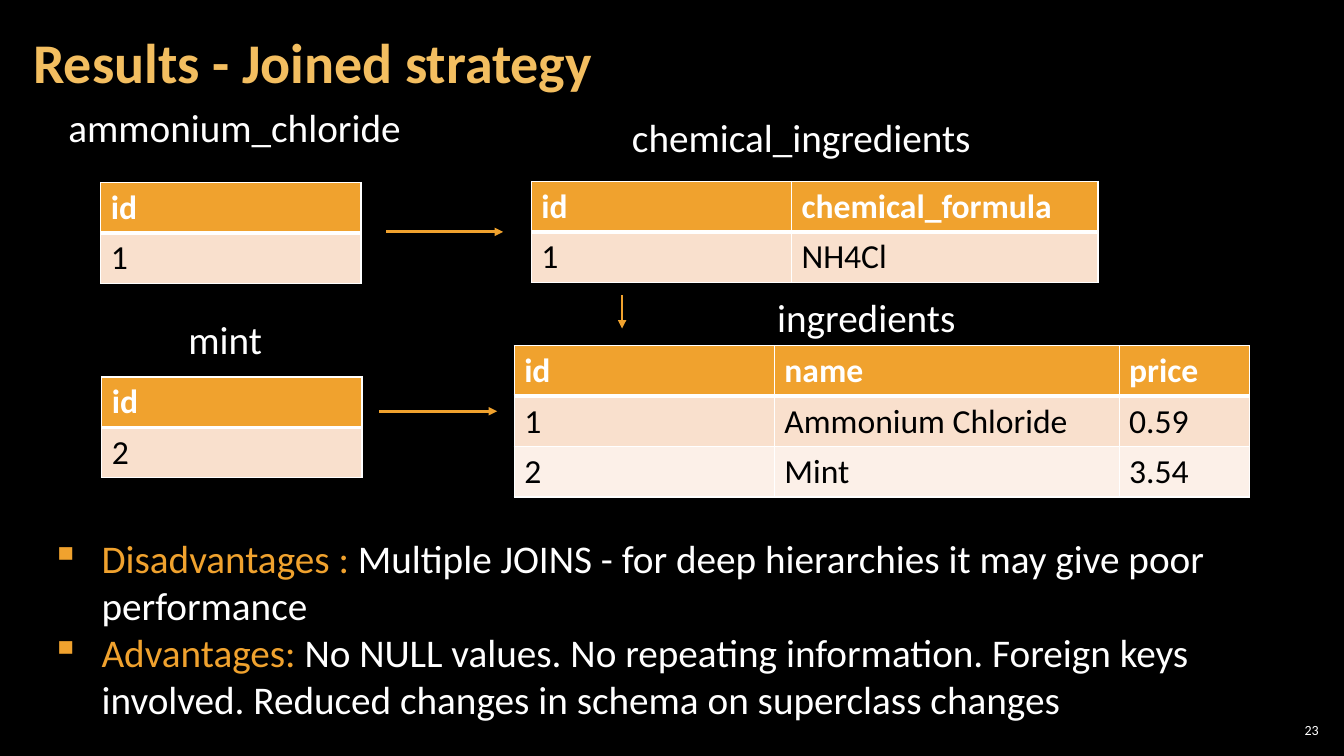
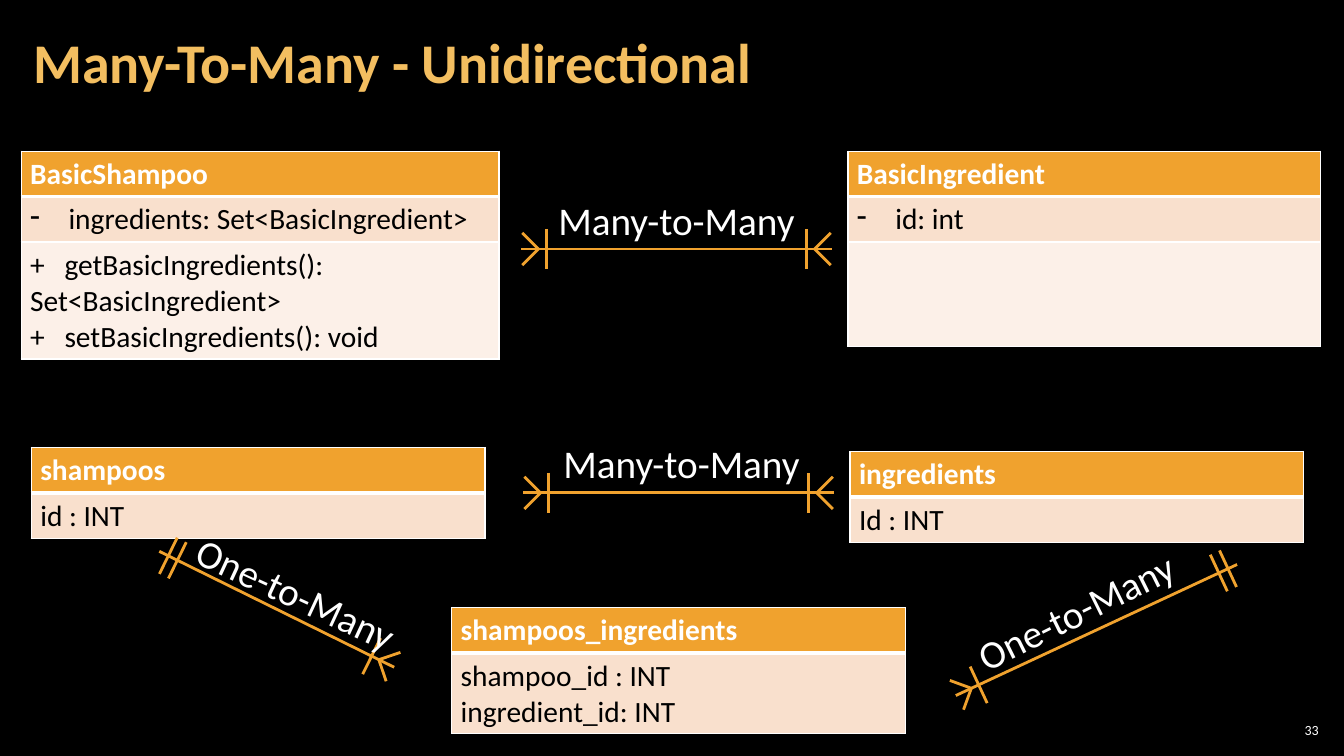
from math import hypot

from pptx import Presentation
from pptx.dml.color import RGBColor
from pptx.enum.shapes import MSO_CONNECTOR as CONNECTOR
from pptx.enum.text import MSO_ANCHOR as ANCHOR, PP_ALIGN as ALIGN
from pptx.oxml.ns import qn
from pptx.util import Inches, Pt
from lxml.etree import SubElement

COLORS = {
    "back": "000000",
    "title": "F3BE60",
    "accent": "F0A22E",
    "row": "F9E0CD",
    "row_alt": "FCF0E8",
    "light": "FFFFFF",
    "dark": "000000",
}
FONT = "Calibri"
LABEL_SIZE = 28


def rgb(name):
    return RGBColor.from_string(COLORS[name])


def style(r, size, color, bold=False):
    r.font.name = FONT
    r.font.size = Pt(size)
    r.font.bold = bold
    r.font.color.rgb = rgb(color)


def set_bullet(p, char, indent):
    """Give the paragraph a bullet with a hanging indent in inches."""
    pPr = p._p.get_or_add_pPr()
    pPr.set("marL", str(Inches(indent)))
    pPr.set("indent", str(-Inches(indent)))
    SubElement(pPr, qn("a:buChar")).set("char", char)


def set_tab(p, pos):
    tabs = SubElement(p._p.get_or_add_pPr(), qn("a:tabLst"))
    tab = SubElement(tabs, qn("a:tab"))
    tab.set("pos", str(Inches(pos)))
    tab.set("algn", "l")


def add_box(s, x, y, w, h):
    sp = s.shapes.add_textbox(Inches(x), Inches(y), Inches(w), Inches(h))
    sp.text_frame.word_wrap = True
    return sp


def add_text(s, text, x, y, w, h, size=LABEL_SIZE, color="light", bold=False):
    sp = add_box(s, x, y, w, h)
    p = sp.text_frame.paragraphs[0]
    p.text = text
    style(p.runs[0], size, color, bold)
    return sp


def add_label(s, text, x, y, w, rotation=0):
    sp = add_text(s, text, x, y, w, 0.57)
    sp.text_frame.word_wrap = False
    sp.rotation = rotation


def set_insets(tf, side, edge):
    tf.margin_left = tf.margin_right = Inches(side)
    tf.margin_top = tf.margin_bottom = Inches(edge)
    tf.vertical_anchor = ANCHOR.MIDDLE


def new_slide(prs, title, number):
    """Add a slide with the shared background, title and page number."""
    s = prs.slides.add_slide(prs.slide_layouts[6])
    s.background.fill.solid()
    s.background.fill.fore_color.rgb = rgb("back")

    tf = add_text(s, title, 0.21, 0.04, 10.47, 1.21, 40, "title", True).text_frame
    set_insets(tf, 0.12, 0.04)
    tf.paragraphs[0].line_spacing = 0.9

    tf = add_text(s, str(number), 12.65, 7.14, 0.47, 0.21, 10).text_frame
    set_insets(tf, 0.04, 0.04)
    tf.paragraphs[0].alignment = ALIGN.RIGHT
    return s


def set_borders(cell, top, bottom):
    tcPr = cell._tc.get_or_add_tcPr()
    for tag, width in (("lnL", 1), ("lnR", 1), ("lnT", top), ("lnB", bottom)):
        ln = SubElement(tcPr, qn(f"a:{tag}"))
        ln.set("w", str(Pt(width)))
        fill = SubElement(ln, qn("a:solidFill"))
        SubElement(fill, qn("a:srgbClr")).set("val", COLORS["light"])


def fill_cell(cell, text, row, size):
    """Lines that start with "- " become bullets; a tab sets off a "+"."""
    set_borders(cell, top=3 if row == 1 else 1, bottom=3 if row == 0 else 1)
    cell.fill.solid()
    header = row == 0
    cell.fill.fore_color.rgb = rgb(
        "accent" if header else "row" if row % 2 else "row_alt")
    bulleted = text.startswith("- ")
    cell.text_frame.text = text.removeprefix("- ")
    for p in cell.text_frame.paragraphs:
        if bulleted:
            set_bullet(p, "-", 0.38)
        if "\t" in p.text:
            set_tab(p, 0.34)
        for r in p.runs:
            style(r, size, "light" if header else "dark", header)


def add_grid(s, x, y, widths, heights, rows, size, inset):
    frame = s.shapes.add_table(len(rows), len(widths), Inches(x), Inches(y),
                               Inches(sum(widths)), Inches(sum(heights)))
    table = frame.table
    for column, width in zip(table.columns, widths):
        column.width = Inches(width)
    for i, (values, height) in enumerate(zip(rows, heights)):
        table.rows[i].height = Inches(height)
        for j, text in enumerate(values):
            cell = table.cell(i, j)
            cell.margin_left = cell.margin_right = Inches(inset)
            fill_cell(cell, text, i, size)


def add_data_table(s, x, y, widths, rows):
    add_grid(s, x, y, widths, [0.5] * len(rows), rows, 24, 0.1)


def add_entity(s, x, y, width, lines, heights=(0.44, 0.45)):
    add_grid(s, x, y, [width], heights, [[line] for line in lines], 21, 0.09)


def add_line(s, start, end, arrow=False):
    points = [Inches(v) for v in (*start, *end)]
    line = s.shapes.add_connector(CONNECTOR.STRAIGHT, *points)
    line.line.color.rgb = rgb("accent")
    line.line.width = Pt(2)
    if arrow:
        tail = SubElement(line.line._get_or_add_ln(), qn("a:tailEnd"))
        tail.set("type", "triangle")
    SubElement(line._element.spPr, qn("a:effectLst"))


def add_end_mark(s, tip, other, many):
    """Draw a crow's foot with a bar (many) or two bars (one) at the tip."""
    dx, dy = other[0] - tip[0], other[1] - tip[1]
    length = hypot(dx, dy)
    ux, uy = dx / length, dy / length

    def at(along, across):
        return (tip[0] + along * ux - across * uy,
                tip[1] + along * uy + across * ux)

    for along in (0.25,) if many else (0.1, 0.2):
        add_line(s, at(along, -0.2), at(along, 0.2))
    if many:
        for across in (-0.16, 0.16):
            add_line(s, at(0.01, across), at(0.17, 0))


def add_relation(s, start, end, start_many=True):
    add_line(s, start, end)
    add_end_mark(s, start, end, start_many)
    add_end_mark(s, end, start, True)


def add_points(s, points, x, y, w, h):
    tf = add_box(s, x, y, w, h).text_frame
    for i, (lead, text) in enumerate(points):
        p = tf.add_paragraph() if i else tf.paragraphs[0]
        set_bullet(p, "▪", 0.5)
        for part, color in ((lead, "accent"), (text, "light")):
            r = p.add_run()
            r.text = part
            style(r, LABEL_SIZE, color)


def joined_strategy(prs):
    s = new_slide(prs, "Results - Joined strategy", 23)
    id_width = 2.58
    add_data_table(s, 1, 1.81, [id_width], [["id"], ["1"]])
    add_data_table(s, 1.01, 3.74, [id_width], [["id"], ["2"]])
    add_data_table(s, 5.27, 1.8, [id_width, 3.04],
                   [["id", "chemical_formula"], ["1", "NH4Cl"]])
    add_data_table(s, 5.1, 3.43, [id_width, 3.42, 1.29],
                   [["id", "name", "price"],
                    ["1", "Ammonium Chloride", "0.59"],
                    ["2", "Mint", "3.54"]])

    for text, x, y, w in (("ammonium_chloride", 0.58, 0.98, 3.83),
                          ("chemical_ingredients", 6.17, 1.08, 3.83),
                          ("mint", 1.77, 3.08, 1),
                          ("ingredients", 7.61, 2.86, 2)):
        add_label(s, text, x, y, w)

    for start, end in (((3.83, 2.3), (4.99, 2.3)),
                       ((3.76, 4.08), (4.93, 4.08)),
                       ((6.17, 2.93), (6.17, 3.26))):
        add_line(s, start, end, arrow=True)

    add_points(s, [
        ("Disadvantages : ",
         "Multiple JOINS - for deep hierarchies it may give poor performance"),
        ("Advantages: ",
         "No NULL values. No repeating information. Foreign keys involved. "
         "Reduced changes in schema on superclass changes"),
    ], 0.41, 5.25, 12.9, 1.99)


def many_to_many(prs):
    s = new_slide(prs, "Many-To-Many - Unidirectional", 33)
    add_entity(s, 0.21, 1.5, 4.74,
               ["BasicShampoo", "- ingredients: Set<BasicIngredient>",
                "+\tgetBasicIngredients(): Set<BasicIngredient>\n"
                "+\tsetBasicIngredients(): void"], (0.44, 0.45, 1.16))
    add_entity(s, 8.41, 1.5, 4.69,
               ["BasicIngredient", "- id: int", ""], (0.44, 0.45, 1.04))
    add_entity(s, 0.31, 4.44, 4.5, ["shampoos", "id : INT"])
    add_entity(s, 8.43, 4.48, 4.5, ["ingredients", "Id : INT"])
    add_entity(s, 4.48, 6.03, 4.5,
               ["shampoos_ingredients", "shampoo_id : INT\ningredient_id: INT"],
               (0.44, 0.79))

    add_relation(s, (5.17, 2.47), (8.25, 2.47))
    add_relation(s, (5.19, 4.89), (8.27, 4.89))
    add_relation(s, (1.58, 5.47), (3.91, 6.62), start_many=False)
    add_relation(s, (12.27, 5.6), (9.48, 6.9), start_many=False)

    add_label(s, "Many-to-Many", 5.44, 1.9, 2.58)
    add_label(s, "Many-to-Many", 5.49, 4.31, 2.58)
    add_label(s, "One-to-Many", 1.78, 5.61, 2.34, 24.9)
    add_label(s, "One-to-Many", 9.51, 5.77, 2.34, 333.5)


def main():
    prs = Presentation()
    prs.slide_width, prs.slide_height = Inches(13.33), Inches(7.5)
    joined_strategy(prs)
    many_to_many(prs)
    prs.save("out.pptx")


if __name__ == "__main__":
    main()
